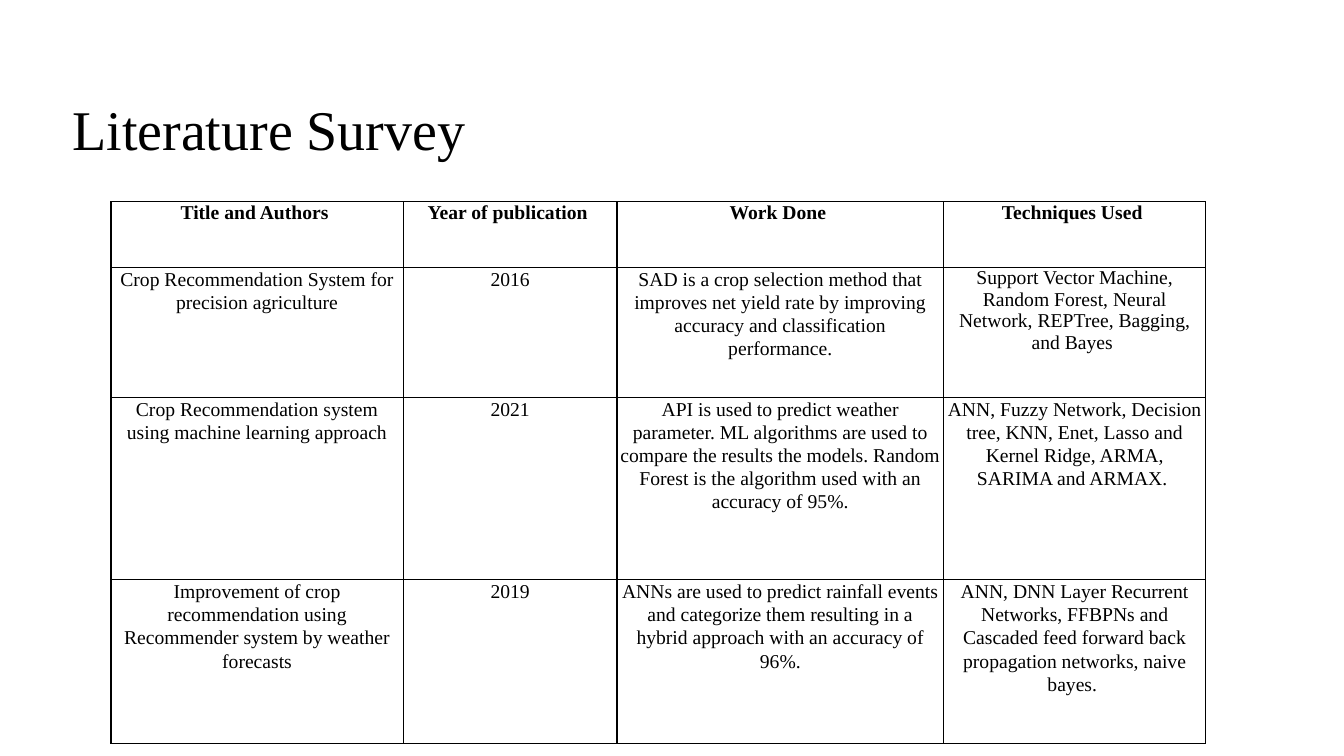
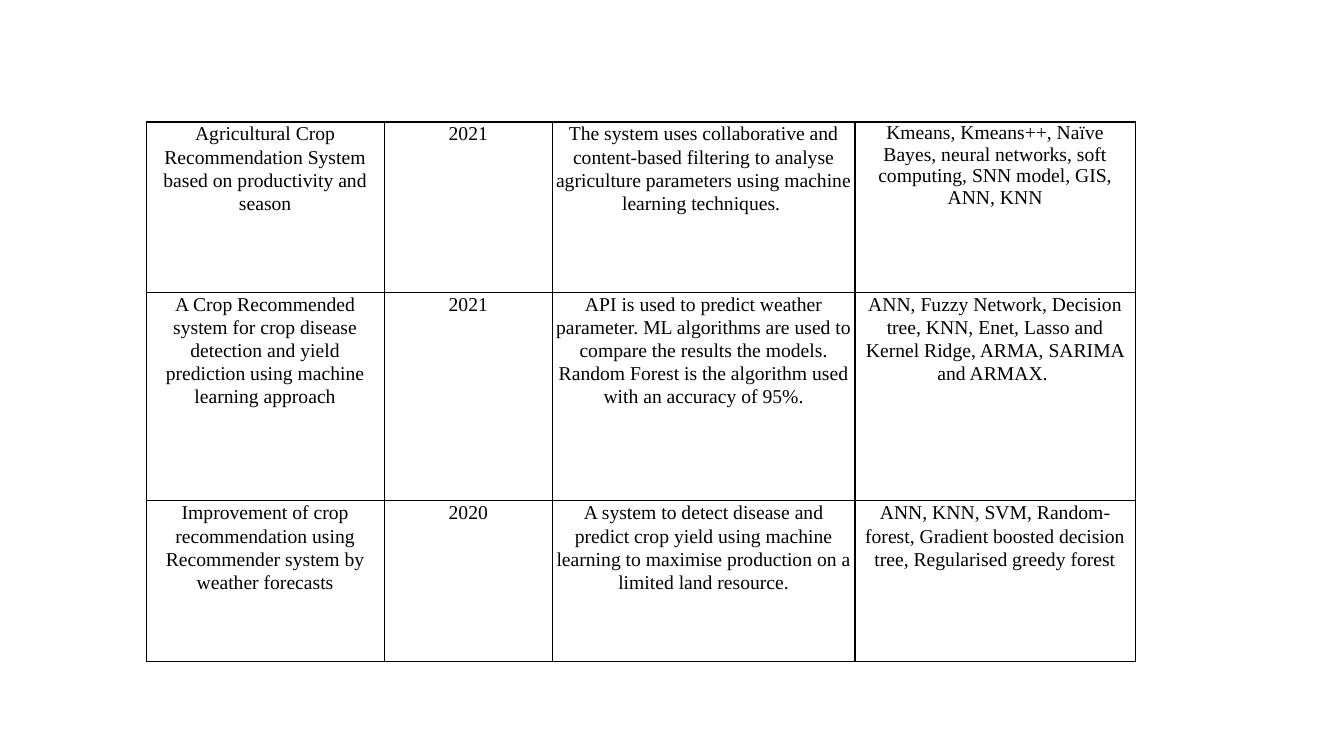
from dataclasses import dataclass

from lxml.etree import SubElement
from pptx import Presentation
from pptx.dml.color import RGBColor
from pptx.enum.text import MSO_AUTO_SIZE as AutoSize, PP_ALIGN as Align
from pptx.oxml.ns import qn
from pptx.slide import Slide
from pptx.table import _Cell as Cell
from pptx.text.text import TextFrame
from pptx.util import Inches, Pt


@dataclass(frozen=True)
class Theme:
    font: str = "Times New Roman"
    ink: RGBColor = RGBColor(0, 0, 0)
    paper: RGBColor = RGBColor(255, 255, 255)
    title_size: float = 40
    body_size: float = 14
    border_width: float = 1
    cell_margin: float = 0.03
    line_spacing: float = 1.07
    space_after: float = 8


@dataclass(frozen=True)
class Entry:
    text: str
    bold: bool = False
    tight: bool = False


@dataclass(frozen=True)
class Survey:
    left: float
    top: float
    widths: list[float]
    heights: list[float]
    rows: list[list[Entry]]


THEME = Theme()

HEADINGS = [
    Entry(text, bold=True, tight=True)
    for text in ("Title and Authors ", "Year of publication ", "Work Done ", "Techniques Used ")
]
WEATHER_TITLE = Entry(
    "Improvement of crop recommendation using Recommender system by weather forecasts"
)
API_WORK = Entry(
    "API is used to predict weather parameter. ML algorithms are used to compare "
    "the results the models. Random Forest is the algorithm used with an accuracy of 95%."
)
API_TECHNIQUES = Entry(
    "ANN, Fuzzy Network, Decision tree, KNN, Enet, Lasso and Kernel Ridge, "
    "ARMA, SARIMA and ARMAX. "
)

FIRST_SURVEY = Survey(
    left=1.1,
    top=2,
    widths=[2.9, 2.12, 3.24, 2.6],
    heights=[0.65, 1.29, 1.81, 1.63],
    rows=[
        HEADINGS,
        [
            Entry("Crop Recommendation System for precision agriculture"),
            Entry("2016"),
            Entry(
                "SAD is a crop selection method that improves net yield rate by "
                "improving accuracy and classification performance."
            ),
            Entry(
                "Support Vector Machine, Random Forest, Neural Network, REPTree, "
                "Bagging, and Bayes ",
                tight=True,
            ),
        ],
        [
            Entry("Crop Recommendation system using machine learning approach"),
            Entry("2021"),
            API_WORK,
            API_TECHNIQUES,
        ],
        [
            WEATHER_TITLE,
            Entry("2019"),
            Entry(
                "ANNs are used to predict rainfall events and categorize them "
                "resulting in a hybrid approach with an accuracy of 96%."
            ),
            Entry(
                "ANN, DNN Layer Recurrent Networks, FFBPNs and Cascaded feed "
                "forward back propagation networks, naive bayes. "
            ),
        ],
    ],
)

SECOND_SURVEY = Survey(
    left=1.45,
    top=1.21,
    widths=[2.36, 1.67, 3, 2.78],
    heights=[1.69, 2.07, 1.59],
    rows=[
        [
            Entry("Agricultural Crop Recommendation System based on productivity and season"),
            Entry("2021"),
            Entry(
                "The system uses collaborative and content-based filtering to analyse "
                "agriculture parameters using machine learning techniques. "
            ),
            Entry(
                "Kmeans, Kmeans++, Naïve Bayes, neural networks, soft computing, "
                "SNN model, GIS, ANN, KNN",
                tight=True,
            ),
        ],
        [
            Entry(
                "A Crop Recommended system for crop disease detection and yield "
                "prediction using machine learning approach"
            ),
            Entry("2021"),
            API_WORK,
            API_TECHNIQUES,
        ],
        [
            WEATHER_TITLE,
            Entry("2020"),
            Entry(
                "A system to detect disease and predict crop yield using machine "
                "learning to maximise production on a limited land resource."
            ),
            Entry(
                "ANN, KNN, SVM, Random-forest, Gradient boosted decision tree, "
                "Regularised greedy forest"
            ),
        ],
    ],
)


def write_text(
    frame: TextFrame,
    text: str,
    *,
    size: float,
    bold: bool = False,
    align: Align = Align.LEFT,
    line_spacing: float = 1.0,
    space_after: float = 0,
) -> None:
    para = frame.paragraphs[0]
    para.alignment = align
    para.line_spacing = line_spacing
    para.space_after = Pt(space_after)
    span = para.add_run()
    span.text = text
    span.font.name = THEME.font
    span.font.size = Pt(size)
    span.font.bold = bold
    span.font.color.rgb = THEME.ink


def add_page(deck: Presentation) -> Slide:
    page = deck.slides.add_slide(deck.slide_layouts[6])
    page.background.fill.solid()
    page.background.fill.fore_color.rgb = THEME.paper
    return page


def add_title(page: Slide, text: str) -> None:
    box = page.shapes.add_textbox(Inches(0.62), Inches(0.89), Inches(4.75), Inches(0.77))
    box.text_frame.word_wrap = True
    box.text_frame.auto_size = AutoSize.SHAPE_TO_FIT_TEXT
    write_text(box.text_frame, text, size=THEME.title_size)


def add_borders(cell: Cell) -> None:
    properties = cell._tc.get_or_add_tcPr()
    for side in ("lnL", "lnR", "lnT", "lnB"):
        line = SubElement(properties, qn(f"a:{side}"), w=str(Pt(THEME.border_width)))
        fill = SubElement(line, qn("a:solidFill"))
        SubElement(fill, qn("a:srgbClr"), val=str(THEME.ink))


def fill_cell(cell: Cell, entry: Entry) -> None:
    cell.margin_left = cell.margin_right = Inches(THEME.cell_margin)
    cell.margin_top = cell.margin_bottom = Inches(0)
    add_borders(cell)
    cell.fill.background()
    write_text(
        cell.text_frame,
        entry.text,
        size=THEME.body_size,
        bold=entry.bold,
        align=Align.CENTER,
        line_spacing=1.0 if entry.tight else THEME.line_spacing,
        space_after=0 if entry.tight else THEME.space_after,
    )


def add_survey(page: Slide, survey: Survey) -> None:
    table = page.shapes.add_table(
        len(survey.heights),
        len(survey.widths),
        Inches(survey.left),
        Inches(survey.top),
        Inches(sum(survey.widths)),
        Inches(sum(survey.heights)),
    ).table
    table.first_row = False
    table.horz_banding = False
    for column, width in zip(table.columns, survey.widths):
        column.width = Inches(width)
    for row, height, entries in zip(table.rows, survey.heights, survey.rows):
        row.height = Inches(height)
        for cell, entry in zip(row.cells, entries):
            fill_cell(cell, entry)


def main() -> None:
    deck = Presentation()
    deck.slide_width = Inches(13.33)
    deck.slide_height = Inches(7.5)
    first_page = add_page(deck)
    add_title(first_page, "Literature Survey")
    add_survey(first_page, FIRST_SURVEY)
    add_survey(add_page(deck), SECOND_SURVEY)
    deck.save("out.pptx")


if __name__ == "__main__":
    main()
